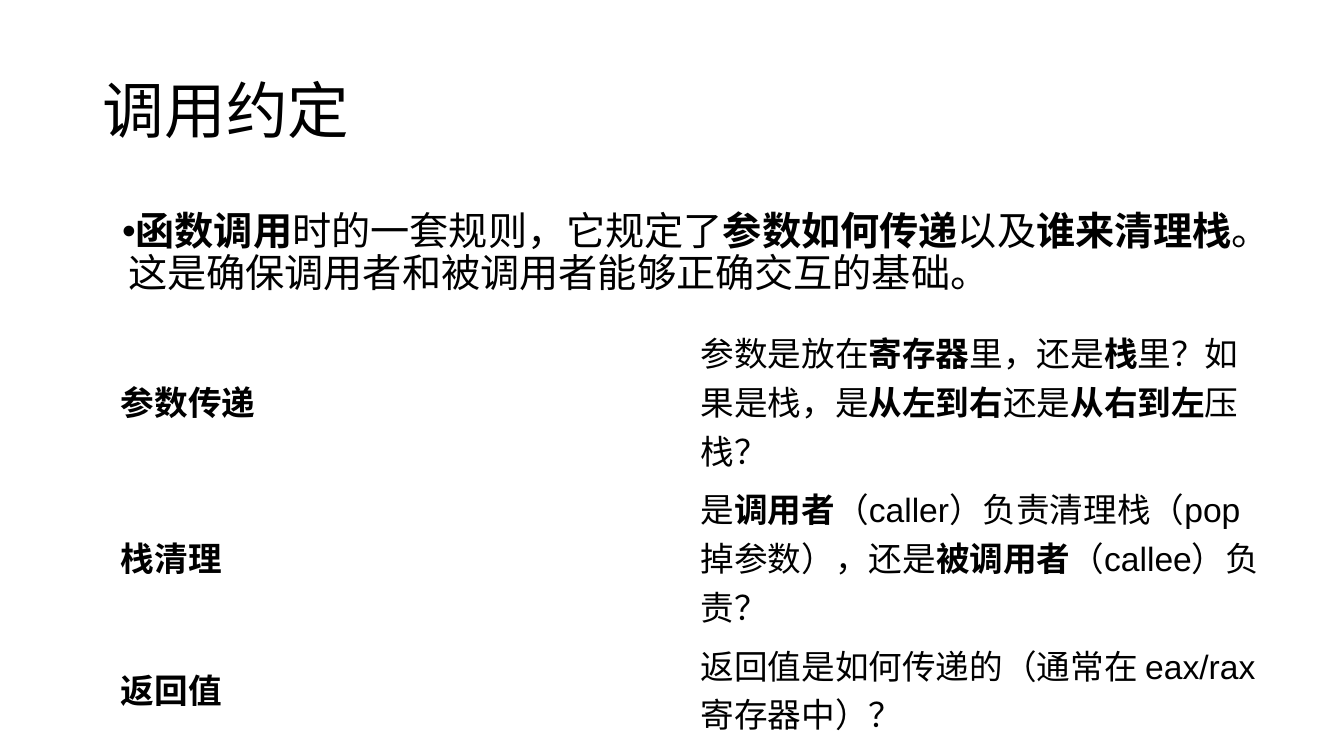
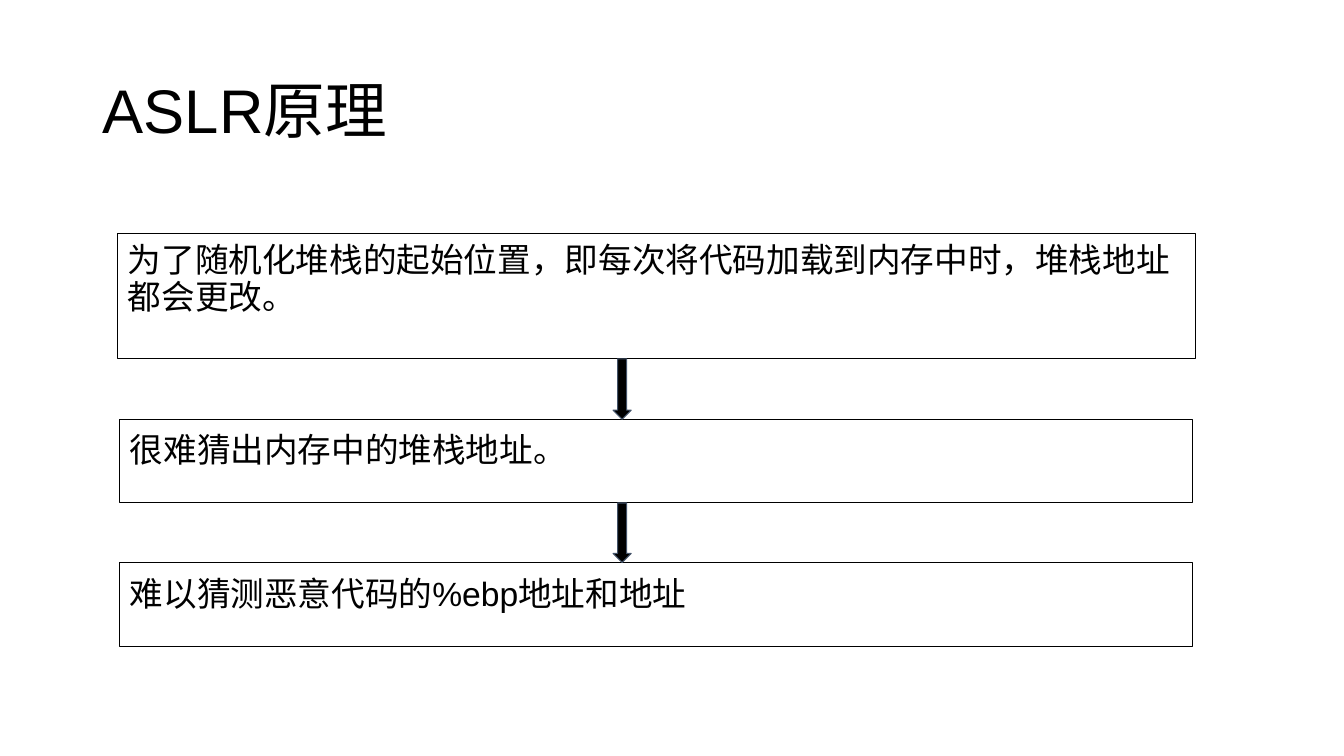
from pptx import Presentation
from pptx import util as u
from pptx.dml.color import RGBColor
from pptx.enum import shapes, text

PX = 9144  # 100 px to the inch
BLACK, SLATE = "000000", "44546A"
TITLE_AREA = [n * PX for n in (92, 40, 1150, 145)]
BODY_AREA = [n * PX for n in (92, 200, 1150, 476)]


def color(hex_string):
    return RGBColor.from_string(hex_string)


def write(frame, content, size, font, spacing=1.0, inset=10):
    """Fill a frame with one paragraph; text between ** marks is bold."""
    frame.word_wrap = True
    frame.auto_size = text.MSO_AUTO_SIZE.NONE
    frame.margin_left = frame.margin_right = inset * PX
    frame.margin_top = frame.margin_bottom = inset * PX
    para = frame.paragraphs[0]
    para.alignment = text.PP_ALIGN.LEFT
    para.line_spacing = spacing
    para.space_before = u.Pt(0)
    para.font.size = u.Pt(size)
    para.font.name = font
    para.font.color.rgb = color(BLACK)
    for index, part in enumerate(content.split("**")):
        if part:
            span = para.add_run()
            span.text = part
            if index % 2:
                span.font.bold = True
    return para


deck = Presentation()
deck.slide_width, deck.slide_height = 1333 * PX, 750 * PX
content_layout, title_only = deck.slide_layouts[1], deck.slide_layouts[5]

pages = []
for layout, heading, font in ((content_layout, "调用约定", "Calibri"),
                              (title_only, "ASLR原理", "Arial")):
    page = deck.slides.add_slide(layout)
    title = page.shapes.title
    title.left, title.top, title.width, title.height = TITLE_AREA
    write(title.text_frame, heading, 44, font, spacing=0.9)
    title.text_frame.vertical_anchor = text.MSO_ANCHOR.MIDDLE
    pages.append(page)
convention_page, aslr_page = pages

# Calling convention: definition and table of questions
body = convention_page.placeholders[1]
body.left, body.top, body.width, body.height = BODY_AREA
definition = write(
    body.text_frame,
    "**函数调用**时的一套规则，它规定了**参数如何传递**以及**谁来清理栈**。"
    "这是确保调用者和被调用者能够正确交互的基础。",
    28, "Calibri", spacing=0.9)
bullet_properties = definition._p.get_or_add_pPr()
bullet_properties.set("marL", str(25 * PX))
bullet_properties.set("indent", str(-6 * PX))

rows = (
    (148, "**参数传递**",
     "参数是放在**寄存器**里，还是**栈**里？如果是栈，是**从左到右**还是**从右到左**压栈？"),
    (148, "**栈清理**",
     "是**调用者**（caller）负责清理栈（pop 掉参数），还是**被调用者**（callee）负责？"),
    (87, "**返回值**", "返回值是如何传递的（通常在 eax/rax 寄存器中）？"),
)
table = convention_page.shapes.add_table(
    len(rows), 2, 110 * PX, 320 * PX, 1150 * PX, 383 * PX).table
table.first_row = table.horz_banding = False
for row, (height, *contents) in zip(table.rows, rows):
    row.height = height * PX
    for cell, content in zip(row.cells, contents):
        cell.fill.background()
        write(cell.text_frame, content, 24, "Arial")
        cell.margin_left = cell.margin_right = 10 * PX
        cell.margin_top = cell.margin_bottom = 5 * PX
        cell.vertical_anchor = text.MSO_ANCHOR.MIDDLE

# ASLR: three steps joined by arrows
steps = (
    (117, 232, 1069, 124, 0.9,
     "为了随机化堆栈的起始位置，即每次将代码加载到内存中时，堆栈地址都会更改。"),
    (119, 416, 1064, 83, 1.0, "很难猜出内存中的堆栈地址。"),
    (119, 558, 1064, 83, 1.0, "难以猜测恶意代码的%ebp地址和地址"),
)
for left, top, width, height, spacing, content in steps:
    box = aslr_page.shapes.add_shape(
        shapes.MSO_SHAPE.RECTANGLE, left * PX, top * PX, width * PX, height * PX)
    box.shadow.inherit = False
    box.fill.background()
    box.line.color.rgb = color(BLACK)
    box.line.width = u.Pt(0.75)
    write(box.text_frame, content, 24, "Arial", spacing)
    box.text_frame.vertical_anchor = text.MSO_ANCHOR.TOP

for upper, lower in zip(steps, steps[1:]):
    bottom = upper[1] + upper[3]
    arrow = aslr_page.shapes.add_shape(
        shapes.MSO_SHAPE.DOWN_ARROW,
        608 * PX, bottom * PX, 18 * PX, (lower[1] - bottom) * PX)
    arrow.shadow.inherit = False
    arrow.fill.solid()
    arrow.fill.fore_color.rgb = color(BLACK)
    arrow.line.color.rgb = color(SLATE)
    arrow.line.width = u.Pt(0.75)

deck.save("out.pptx")
